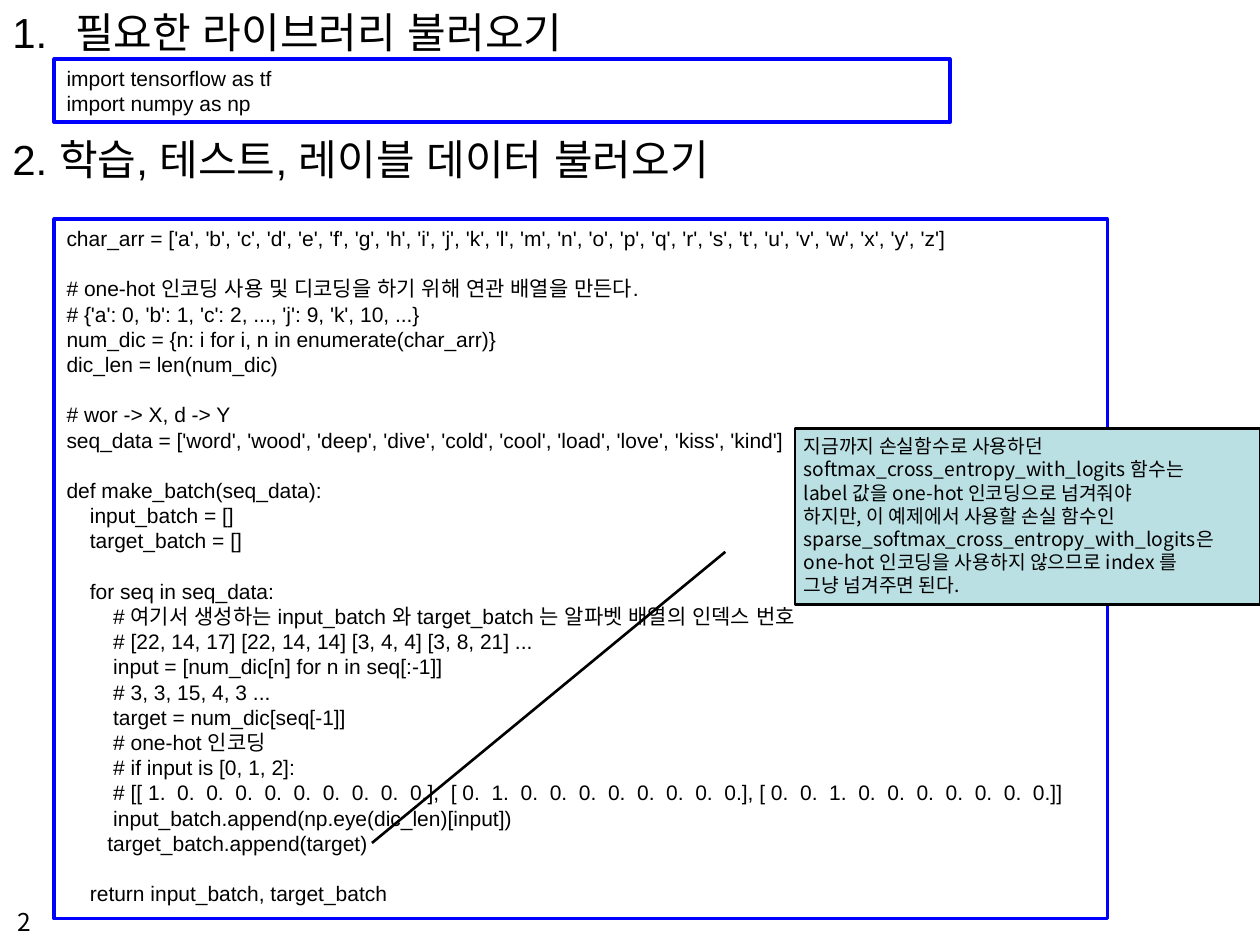
from dataclasses import dataclass

import pptx
import pptx.dml.color
import pptx.enum.shapes
import pptx.enum.text
import pptx.oxml.ns
import pptx.util
from lxml import etree

Pt = pptx.util.Pt
SHAPES = pptx.enum.shapes.MSO_SHAPE


@dataclass(frozen=True)
class Theme:
    ink: str = "000000"
    frame: str = "0000FF"
    note_fill: str = "BBE0E3"
    latin: str = "Arial"
    korean: str = "Noto Sans CJK KR"
    heading: int = 24
    page: int = 14
    code: int = 12
    note: int = 11
    leading: float = 1.2
    space_width: float = 0.278


@dataclass(frozen=True)
class Region:
    """Left, top, width and height as percentages of the slide."""
    left: float
    top: float
    width: float
    height: float


@dataclass(frozen=True)
class Line:
    """One paragraph: leading columns and blank rows are given as counts."""
    text: str
    columns: int = 0
    rows_before: float = 0
    number: bool = False


THEME = Theme()

HEADINGS = [
    Line("필요한 라이브러리 불러오기", number=True),
    Line("2. 학습, 테스트, 레이블 데이터 불러오기", rows_before=1.52),
]
IMPORTS = [Line("import tensorflow as tf"), Line("import numpy as np")]
BATCH_CODE = [
    Line("char_arr = ['a', 'b', 'c', 'd', 'e', 'f', 'g', 'h', 'i', 'j', 'k', 'l', 'm', "
         "'n', 'o', 'p', 'q', 'r', 's', 't', 'u', 'v', 'w', 'x', 'y', 'z']"),
    Line("# one-hot 인코딩 사용 및 디코딩을 하기 위해 연관 배열을 만든다.", rows_before=1),
    Line("# {'a': 0, 'b': 1, 'c': 2, ..., 'j': 9, 'k', 10, ...}"),
    Line("num_dic = {n: i for i, n in enumerate(char_arr)}"),
    Line("dic_len = len(num_dic)"),
    Line("# wor -> X, d -> Y", rows_before=1),
    Line("seq_data = ['word', 'wood', 'deep', 'dive', 'cold', 'cool', 'load', 'love', "
         "'kiss', 'kind']"),
    Line("def make_batch(seq_data):", rows_before=1),
    Line("input_batch = []", 4),
    Line("target_batch = []", 4),
    Line("for seq in seq_data:", 4, rows_before=1),
    Line("# 여기서 생성하는 input_batch 와 target_batch 는 알파벳 배열의 인덱스 번호", 8),
    Line("# [22, 14, 17] [22, 14, 14] [3, 4, 4] [3, 8, 21] ...", 8),
    Line("input = [num_dic[n] for n in seq[:-1]]", 8),
    Line("# 3, 3, 15, 4, 3 ...", 8),
    Line("target = num_dic[seq[-1]]", 8),
    Line("# one-hot 인코딩", 8),
    Line("# if input is [0, 1, 2]:", 8),
    Line("# [[ 1.  0.  0.  0.  0.  0.  0.  0.  0.  0.],  "
         "[ 0.  1.  0.  0.  0.  0.  0.  0.  0.  0.], "
         "[ 0.  0.  1.  0.  0.  0.  0.  0.  0.  0.]]", 8),
    Line("input_batch.append(np.eye(dic_len)[input])", 8),
    Line("target_batch.append(target)", 7),
    Line("return input_batch, target_batch", 4, rows_before=1),
]
NOTE = [
    Line("지금까지 손실함수로 사용하던 softmax_cross_entropy_with_logits 함수는"),
    Line("label 값을 one-hot 인코딩으로 넘겨줘야"),
    Line("하지만, 이 예제에서 사용할 손실 함수인 sparse_softmax_cross_entropy_with_logits은"),
    Line("one-hot 인코딩을 사용하지 않으므로 index 를"),
    Line("그냥 넘겨주면 된다."),
]


def rgb(value: str) -> pptx.dml.color.RGBColor:
    return pptx.dml.color.RGBColor.from_string(value)


def place(deck, region: Region) -> tuple[int, int, int, int]:
    """Turn slide percentages into lengths."""
    across, down = deck.slide_width / 100, deck.slide_height / 100
    return (round(region.left * across), round(region.top * down),
            round(region.width * across), round(region.height * down))


def write(frame, lines: list[Line], size: int, font: str) -> None:
    frame.word_wrap = True
    frame.vertical_anchor = pptx.enum.text.MSO_ANCHOR.TOP
    row = size * THEME.leading
    for index, line in enumerate(lines):
        paragraph = frame.add_paragraph() if index else frame.paragraphs[0]
        paragraph.alignment = pptx.enum.text.PP_ALIGN.LEFT
        paragraph.line_spacing = Pt(row)
        paragraph.space_before = Pt(row * line.rows_before)
        properties = paragraph._p.get_or_add_pPr()
        if line.number:
            hanging = pptx.util.Inches(0.5)
            properties.set("marL", str(hanging))
            properties.set("indent", str(-hanging))
            etree.SubElement(properties, pptx.oxml.ns.qn("a:buFont"), typeface=font)
            etree.SubElement(properties, pptx.oxml.ns.qn("a:buAutoNum"), type="arabicPeriod")
        elif line.columns:
            properties.set("marL", str(Pt(line.columns * size * THEME.space_width)))
            properties.set("indent", "0")
        run = paragraph.add_run()
        run.text = line.text
        run.font.size = Pt(size)
        run.font.name = font
        run.font.color.rgb = rgb(THEME.ink)
        etree.SubElement(run.font._element, pptx.oxml.ns.qn("a:ea"), typeface=font)


def add_text(deck, slide, region: Region, lines: list[Line], size: int, font: str) -> None:
    write(slide.shapes.add_textbox(*place(deck, region)).text_frame, lines, size, font)


def add_code(deck, slide, region: Region, lines: list[Line]) -> None:
    box = slide.shapes.add_shape(SHAPES.RECTANGLE, *place(deck, region))
    box.shadow.inherit = False
    box.fill.background()
    box.line.color.rgb = rgb(THEME.frame)
    box.line.width = Pt(2)
    write(box.text_frame, lines, THEME.code, THEME.latin)


def add_callout(deck, slide, region: Region, pointer: tuple[float, ...]) -> None:
    """Draw a note box whose pointer runs along (y, x, y, x) shares of the box."""
    callout = slide.shapes.add_shape(SHAPES.LINE_CALLOUT_1, *place(deck, region))
    callout.shadow.inherit = False
    callout.fill.solid()
    callout.fill.fore_color.rgb = rgb(THEME.note_fill)
    callout.line.color.rgb = rgb(THEME.ink)
    callout.line.width = Pt(1.5)
    # The preset lists its start point first
    for index, share in enumerate(pointer):
        callout.adjustments[index] = share


def main() -> None:
    deck = pptx.Presentation()
    deck.slide_width = pptx.util.Inches(10)
    deck.slide_height = pptx.util.Inches(7.5)
    slide = deck.slides.add_slide(deck.slide_layouts[6])

    add_text(deck, slide, Region(0, 0, 90.7, 20), HEADINGS, THEME.heading, THEME.latin)
    add_text(deck, slide, Region(0.4, 95.33, 7.9, 3.73), [Line("2")], THEME.page, THEME.korean)
    add_code(deck, slide, Region(4.3, 6.27, 71.1, 6.67), IMPORTS)
    add_code(deck, slide, Region(4.3, 23.2, 83.6, 74), BATCH_CODE)
    add_callout(deck, slide, Region(63.1, 45.33, 36.9, 18.67), (2.35, -0.91, 0.7, -0.15))
    add_text(deck, slide, Region(62.8, 45.33, 37.2, 18.67), NOTE, THEME.note, THEME.korean)

    deck.save("out.pptx")


if __name__ == "__main__":
    main()
